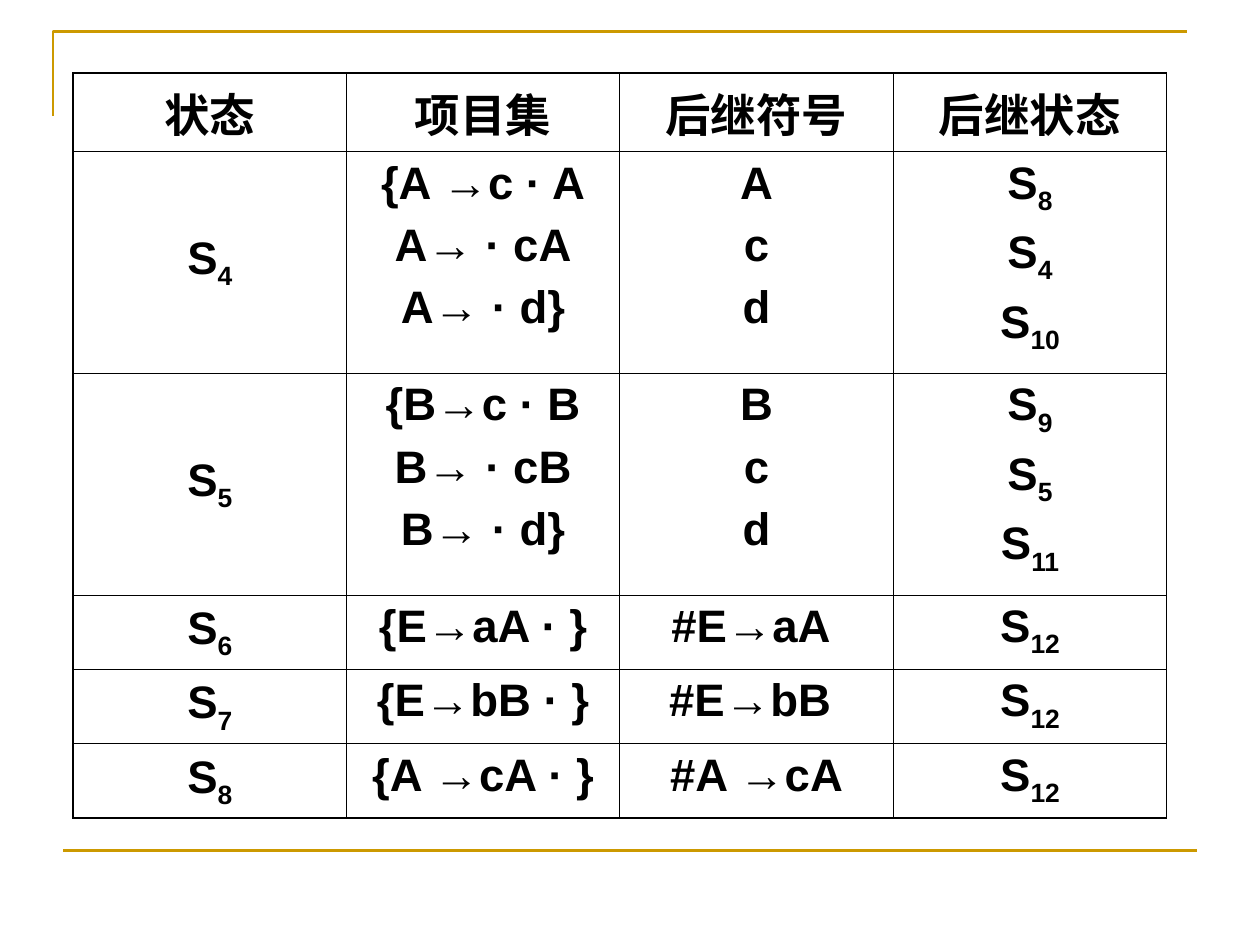
from lxml import etree
from pptx import Presentation
from pptx.dml.color import RGBColor
from pptx.enum import shapes, text
from pptx.oxml import ns
from pptx.util import Inches, Pt

GOLD, BLACK = "CC9900", "000000"
HEADINGS = ["状态", "项目集", "后继符号", "后继状态"]
STATES = [
    (["S_4"], ["{A →c · A", "A→ · cA", "A→ · d}"], ["A", "c", "d"], ["S_8", "S_4", "S_10"]),
    (["S_5"], ["{B→c · B", "B→ · cB", "B→ · d}"], ["B", "c", "d"], ["S_9", "S_5", "S_11"]),
    (["S_6"], ["{E→aA · }"], ["#E→aA "], ["S_12"]),
    (["S_7"], ["{E→bB · }"], ["#E→bB "], ["S_12"]),
    (["S_8"], ["{A →cA · }"], ["#A →cA"], ["S_12"]),
]
ROW_HEIGHTS = [0.53, 1.76, 1.76, 0.59, 0.59, 0.59]
COLUMN_WIDTH = 2.17


def color(hex_value):
    """Return the colour for a hex string."""
    return RGBColor.from_string(hex_value)


def style_rule(rule):
    """Give a decorative rule its gold line."""
    rule.line.color.rgb = color(GOLD)
    rule.line.width = Pt(1.5)


def add_frame(slide):
    """Draw the corner bracket and the bottom rule."""
    builder = slide.shapes.build_freeform(Inches(0.42), Inches(0.92))
    builder.add_line_segments(
        [(Inches(0.42), Inches(0.25)), (Inches(9.42), Inches(0.25))], close=False)
    bracket = builder.convert_to_shape()
    bracket.fill.background()
    bracket.shadow.inherit = False
    style_rule(bracket)
    bottom_rule = slide.shapes.add_connector(
        shapes.MSO_CONNECTOR.STRAIGHT, Inches(0.5), Inches(6.75), Inches(9.5), Inches(6.75))
    style_rule(bottom_rule)
    etree.SubElement(bottom_rule._element.spPr, ns.qn("a:effectLst"))


def set_borders(cell, outer_sides):
    """Draw all four borders of a cell, heavier on the outer sides."""
    properties = cell._tc.get_or_add_tcPr()
    for position, side in enumerate("LRTB"):
        width = Pt(1.08 if side in outer_sides else 0.45)
        border = etree.Element(ns.qn(f"a:ln{side}"), w=str(width))
        fill = etree.SubElement(border, ns.qn("a:solidFill"))
        etree.SubElement(fill, ns.qn("a:srgbClr"), val=BLACK)
        properties.insert(position, border)


def write_lines(cell, lines):
    """Write centred lines, with the part after an underscore as subscript."""
    frame = cell.text_frame
    for index, line in enumerate(lines):
        paragraph = frame.add_paragraph() if index else frame.paragraphs[0]
        paragraph.alignment = text.PP_ALIGN.CENTER
        paragraph.space_before = Pt(6.5 if index else 0)
        paragraph.font.name = "Arial"
        paragraph.font.size = Pt(26)
        paragraph.font.bold = True
        paragraph.font.color.rgb = color(BLACK)
        base, _, subscript = line.partition("_")
        for part, baseline in ((base, None), (subscript, "-25000")):
            if part:
                run = paragraph.add_run()
                run.text = part
                run.font.name = "Arial"
                run.font.size = Pt(26)
                run.font.bold = True
                run.font.color.rgb = color(BLACK)
                if baseline:
                    run.font._element.set("baseline", baseline)


def add_state_table(slide):
    """Add the table of states, item sets and successors."""
    rows = [[[heading] for heading in HEADINGS], *STATES]
    last_row, last_column = len(rows) - 1, len(HEADINGS) - 1
    table = slide.shapes.add_table(
        len(rows), len(HEADINGS), Inches(0.58), Inches(0.58),
        Inches(COLUMN_WIDTH * len(HEADINGS)), Inches(sum(ROW_HEIGHTS))).table
    table.first_row = table.horz_banding = False
    for column in table.columns:
        column.width = Inches(COLUMN_WIDTH)
    for r, (row, height) in enumerate(zip(rows, ROW_HEIGHTS)):
        table.rows[r].height = Inches(height)
        for c, lines in enumerate(row):
            cell = table.cell(r, c)
            cell.fill.background()
            if r and c == 0:
                cell.vertical_anchor = text.MSO_ANCHOR.MIDDLE
            outer = {"L": c == 0, "R": c == last_column, "T": r == 0, "B": r == last_row}
            set_borders(cell, [side for side, is_outer in outer.items() if is_outer])
            write_lines(cell, lines)


def main():
    """Build the slide and save it."""
    deck = Presentation()
    deck.slide_width, deck.slide_height = Inches(10), Inches(7.5)
    slide = deck.slides.add_slide(deck.slide_layouts[6])
    add_frame(slide)
    add_state_table(slide)
    deck.save("out.pptx")


if __name__ == "__main__":
    main()
